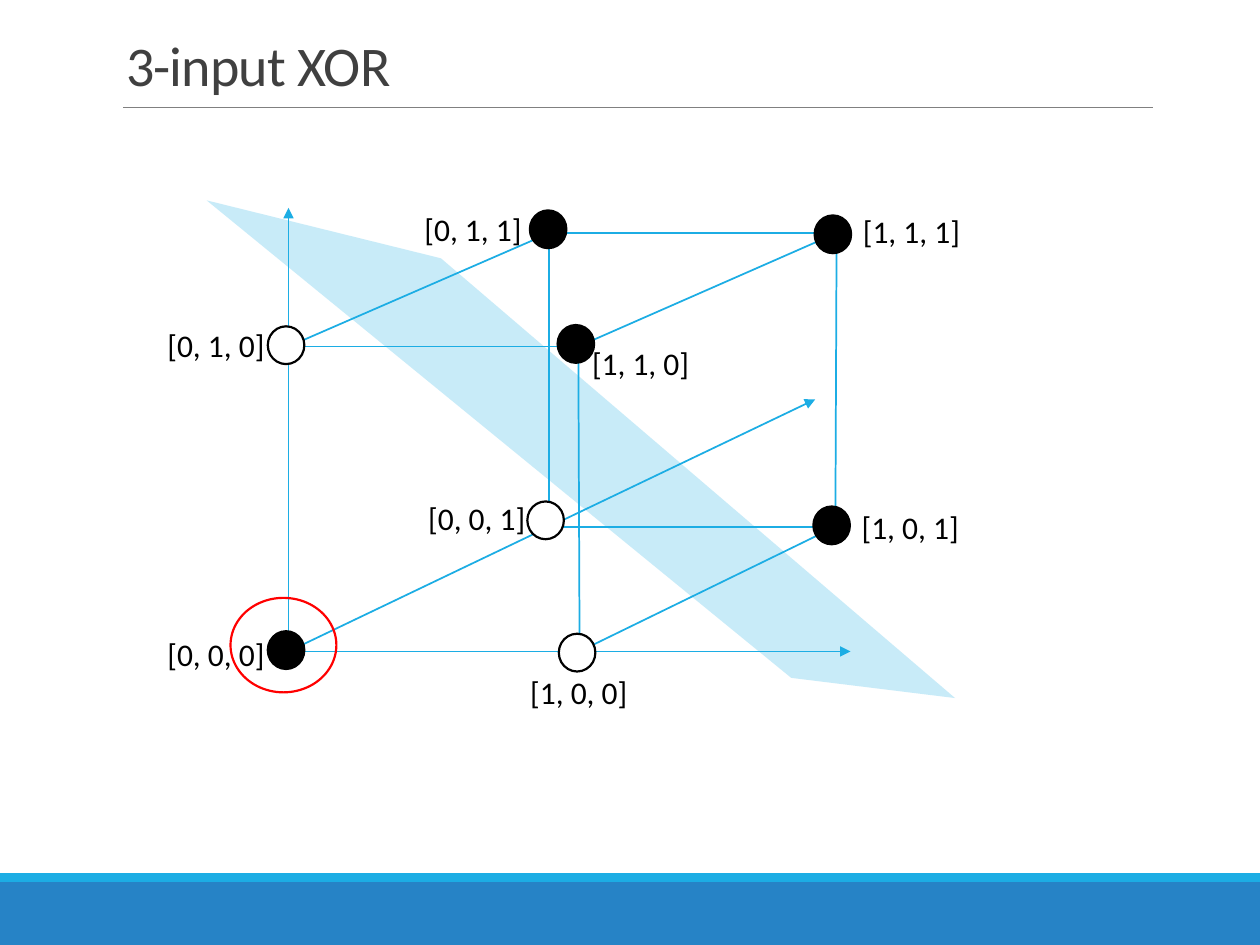
from itertools import combinations

from pptx import Presentation
from pptx.dml.color import RGBColor
from pptx.enum.shapes import MSO_CONNECTOR, MSO_SHAPE
from pptx.enum.text import MSO_ANCHOR, MSO_AUTO_SIZE, PP_ALIGN
from pptx.oxml.ns import qn
from pptx.util import Inches, Pt
from lxml.etree import SubElement

WIDE, HIGH = 10, 7.5
FONT, BLUE, NAVY, BLACK, WHITE = "Calibri", "1CADE4", "2683C6", "000000", "FFFFFF"
TITLE = "3-input XOR"

# Input bits: (cube corner, dot centre, label's left and top, dot fill)
CORNERS = {
    (0, 0, 0): ((2.29, 5.17), (2.27, 5.16), (1.23, 4.99), BLACK),
    (1, 0, 0): ((4.6, 5.17), (4.58, 5.18), (4.11, 5.29), WHITE),
    (0, 1, 0): ((2.29, 2.75), (2.27, 2.74), (1.23, 2.54), WHITE),
    (0, 0, 1): ((4.36, 4.18), (4.33, 4.13), (3.3, 3.91), WHITE),
    (1, 0, 1): ((6.63, 4.18), (6.6, 4.17), (6.74, 3.98), BLACK),
    (0, 1, 1): ((4.36, 1.85), (4.35, 1.82), (3.27, 1.62), BLACK),
    (1, 1, 1): ((6.64, 1.85), (6.61, 1.86), (6.75, 1.63), BLACK),
    (1, 1, 0): ((4.59, 2.75), (4.57, 2.73), (4.6, 2.68), BLACK),
}
ORIGIN = (0, 0, 0)
AXES = [(6.75, 5.17), (6.47, 3.17), (2.29, 1.65)]
PLANE = [(1.64, 1.59), (3.5, 2.05), (7.58, 5.54), (6.28, 5.38)]
DOT, LABEL, RING = (0.29, 0.3), (0.98, 0.4), (0.84, 0.75)
RING_MID = (2.25, 5.12)


def rgb(code):
    return RGBColor.from_string(code)


def inches(*nums):
    return [Inches(n) for n in nums]


def paint(shape, fill=None, line=None, width=1.25):
    shape.shadow.inherit = False
    if fill:
        shape.fill.solid()
        shape.fill.fore_color.rgb = rgb(fill)
    else:
        shape.fill.background()
    if line:
        shape.line.color.rgb = rgb(line)
        shape.line.width = Pt(width)
    else:
        shape.line.fill.background()


def draw(shapes, kind, box, **look):
    paint(shapes.add_shape(kind, *inches(*box)), **look)


def oval(shapes, mid, size, **look):
    """Draw an ellipse around its centre."""
    corner = [m - s / 2 for m, s in zip(mid, size)]
    draw(shapes, MSO_SHAPE.OVAL, (*corner, *size), **look)


def link(shapes, start, end, color=BLUE, width=1, arrow=False):
    line = shapes.add_connector(MSO_CONNECTOR.STRAIGHT, *inches(*start, *end))
    line.line.color.rgb = rgb(color)
    line.line.width = Pt(width)
    if arrow:
        SubElement(line.line._get_or_add_ln(), qn("a:tailEnd"), type="triangle")
    SubElement(line._element.spPr, qn("a:effectLst"))


def write(shape, text, size=18, color=BLACK, wrap=False, anchor=MSO_ANCHOR.TOP,
          fit=MSO_AUTO_SIZE.SHAPE_TO_FIT_TEXT, leading=None, track=None):
    frame = shape.text_frame
    frame.word_wrap, frame.auto_size = wrap, fit
    frame.vertical_anchor = anchor
    par = frame.paragraphs[0]
    par.alignment, par.line_spacing = PP_ALIGN.LEFT, leading
    run = par.add_run()
    run.text = text
    run.font.name, run.font.size = FONT, Pt(size)
    run.font.color.rgb = rgb(color)
    if track:
        run.font._element.set("spc", str(round(track * 100)))


def frame_page(slide):
    """Add the footer bars, the title and the rule below it."""
    for top, tall, fill in [(7, 0.5, NAVY), (6.93, 0.07, BLUE)]:
        draw(slide.shapes, MSO_SHAPE.RECTANGLE, (0, top, WIDE, tall), fill=fill)
    link(slide.shapes, (0.98, 0.85), (9.15, 0.85), color="808080", width=0.5)
    title = slide.shapes.title
    title.left, title.top, title.width, title.height = inches(0.9, 0.18, 8.25, 0.65)
    write(title, TITLE, size=32, color="404040", wrap=True, leading=0.85,
          anchor=MSO_ANCHOR.BOTTOM, fit=MSO_AUTO_SIZE.NONE, track=-0.5)


def add_plane(shapes):
    first, *rest = [inches(*point) for point in PLANE]
    pen = shapes.build_freeform(*first)
    pen.add_line_segments(rest, close=True)
    plane = pen.convert_to_shape()
    paint(plane, fill=BLUE)
    tint = plane._element.spPr.find(qn("a:solidFill"))[0]
    SubElement(tint, qn("a:alpha"), val="24000")


def add_cube(shapes):
    """Join corners one bit apart; the axes stand in for the origin's edges."""
    for tip in AXES:
        link(shapes, CORNERS[ORIGIN][0], tip, arrow=True)
    for one, two in combinations(CORNERS, 2):
        apart = sum(a != b for a, b in zip(one, two))
        if apart == 1 and ORIGIN not in (one, two):
            link(shapes, CORNERS[one][0], CORNERS[two][0])
    for bits, (_, mid, spot, fill) in CORNERS.items():
        write(shapes.add_textbox(*inches(*spot, *LABEL)), str(list(bits)))
        oval(shapes, mid, DOT, fill=fill, line=BLACK)
    oval(shapes, RING_MID, RING, line="FF0000")


def main():
    deck = Presentation()
    deck.slide_width, deck.slide_height = inches(WIDE, HIGH)
    slide = deck.slides.add_slide(deck.slide_layouts[5])
    frame_page(slide)
    add_plane(slide.shapes)
    add_cube(slide.shapes)
    deck.save("out.pptx")


if __name__ == "__main__":
    main()
